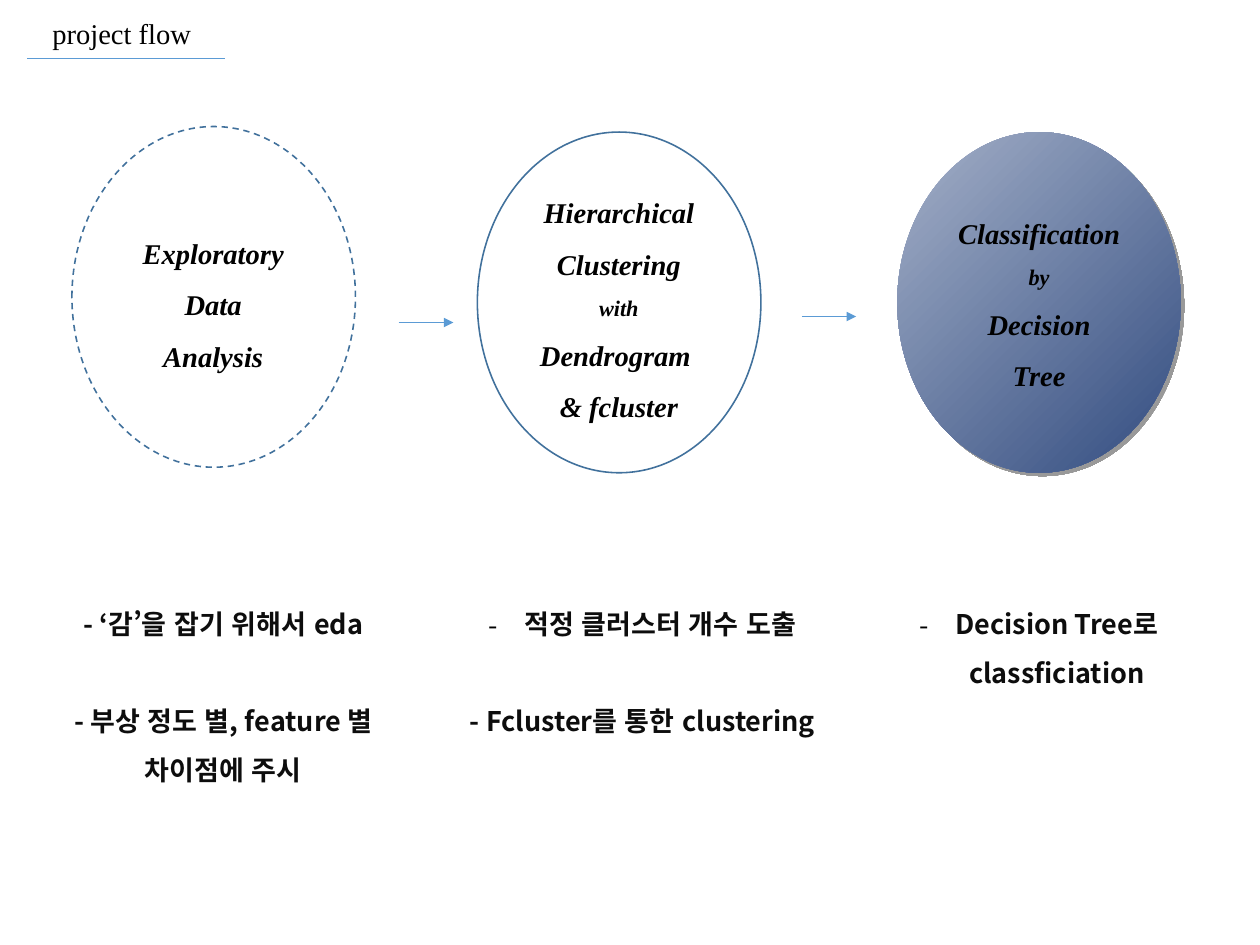
from lxml.etree import SubElement
from pptx import Presentation
from pptx.dml.color import RGBColor
from pptx.enum.dml import MSO_LINE
from pptx.enum.lang import MSO_LANGUAGE_ID as Language
from pptx.enum.shapes import MSO_CONNECTOR as Connector, MSO_SHAPE as Shape
from pptx.enum.text import MSO_ANCHOR as Anchor, MSO_AUTO_SIZE as AutoSize, PP_ALIGN as Align
from pptx.oxml.ns import qn
from pptx.util import Pt

SERIF = "Times New Roman"
KOREAN = "Noto Sans CJK KR"


def color(value):
    return RGBColor.from_string(value)


def format_paragraph(paragraph, size, font_name, text_color, spacing):
    paragraph.alignment = Align.CENTER
    paragraph.line_spacing = Pt(spacing)
    font = paragraph.font
    font.size = Pt(size)
    font.name = font_name
    font.color.rgb = color(text_color)
    properties = paragraph._p.get_or_add_pPr().find(qn("a:defRPr"))
    SubElement(properties, qn("a:ea"), typeface=font_name)
    return font


presentation = Presentation()
presentation.slide_width = Pt(793.7)
presentation.slide_height = Pt(595.28)
slide = presentation.slides.add_slide(presentation.slide_layouts[5])
shapes = slide.shapes

title = shapes.title
title.left, title.top, title.width, title.height = Pt(5.8), Pt(8.2), Pt(141.8), Pt(27.4)
title.text_frame.text = "project flow"
title.text_frame.auto_size = AutoSize.NONE
title.text_frame.vertical_anchor = Anchor.TOP
title_font = format_paragraph(title.text_frame.paragraphs[0], 18, SERIF, "000000", 20)
title_font.bold = False

ellipses = []
for left, top in [(45.3, 79.7), (300.7, 83.2), (565.2, 83.2)]:
    ellipse = shapes.add_shape(Shape.OVAL, Pt(left), Pt(top), Pt(178.6), Pt(214.6))
    ellipse.shadow.inherit = False
    ellipse.fill.background()
    ellipse.line.color.rgb = color("41719C")
    ellipse.line.width = Pt(1)
    ellipses.append(ellipse)

exploration, clustering, classification = ellipses
exploration.line.dash_style = MSO_LINE.DASH
classification.line.fill.background()
classification.fill.gradient()
classification.fill.gradient_angle = 315
for stop, position, value in zip(classification.fill.gradient_stops, (0, 1), ("A4B0C8", "324C80")):
    stop.position = position
    stop.color.rgb = color(value)
effects = classification._element.spPr.find(qn("a:effectLst"))
shadow = SubElement(effects, qn("a:outerShdw"), blurRad="0", dist=str(Pt(3)),
                    dir="2700000", algn="tl", rotWithShape="0")
shadow_color = SubElement(shadow, qn("a:srgbClr"), val="000000")
SubElement(shadow_color, qn("a:alpha"), val="40000")

for start, end, y, has_arrow in [
    (17.3, 141.8, 36.9, False),
    (251.2, 285.6, 203.2, True),
    (505.2, 539.3, 199.4, True),
]:
    connector = shapes.add_connector(Connector.STRAIGHT, Pt(start), Pt(y), Pt(end), Pt(y))
    connector.line.color.rgb = color("5B9BD5")
    connector.line.width = Pt(0.5)
    if has_arrow:
        SubElement(connector.line._get_or_add_ln(), qn("a:tailEnd"), type="triangle")
    SubElement(connector._element.spPr, qn("a:effectLst"))

steps = [
    (69.1, 134.3, 104.4, [("Exploratory", 18), ("Data", 18), ("Analysis", 18)]),
    (324.7, 108.5, 162, [("Hierarchical", 18), ("Clustering", 18), ("with", 14),
                         ("Dendrogram ", 18), ("& fcluster", 18)]),
    (589.4, 121.4, 129.6, [("Classification", 18), ("by", 14), ("Decision", 18), ("Tree", 18)]),
]
for left, top, height, lines in steps:
    frame = shapes.add_textbox(Pt(left), Pt(top), Pt(130.3), Pt(height)).text_frame
    frame.word_wrap = True
    for index, (text, size) in enumerate(lines):
        paragraph = frame.add_paragraph() if index else frame.paragraphs[0]
        paragraph.text = text
        font = format_paragraph(paragraph, size, SERIF, "000000", 1.8 * size)
        font.bold = font.italic = True

notes = [
    (30.2, 221, 129.6, False, ["- ‘감’을 잡기 위해서 eda", "- 부상 정도 별, feature 별 차이점에 주시"]),
    (285.8, 238, 129.6, True, ["적정 클러스터 개수 도출", "- Fcluster를 통한 clustering"]),
    (550.1, 208.8, 68.4, True, ["Decision Tree로 classficiation"]),
]
for left, width, height, hanging, lines in notes:
    frame = shapes.add_textbox(Pt(left), Pt(369), Pt(width), Pt(height)).text_frame
    frame.word_wrap = True
    for index, text in enumerate(lines):
        paragraph = frame.add_paragraph() if index else frame.paragraphs[0]
        paragraph.text = text
        properties = paragraph._p.get_or_add_pPr()
        if hanging:
            properties.set("marL", str(Pt(22.5)))
            properties.set("indent", str(Pt(-22.5)))
            if index == 0:
                bullet_color = SubElement(properties, qn("a:buClr"))
                SubElement(bullet_color, qn("a:srgbClr"), val="000000")
                SubElement(properties, qn("a:buFont"), typeface=KOREAN)
                SubElement(properties, qn("a:buChar"), char="-")
        if index:
            paragraph.space_before = Pt(30.6)
        font = format_paragraph(paragraph, 17, KOREAN, "0D0D0D", 30.6)
        font.bold = True
        font.language_id = Language.KOREAN

presentation.save("out.pptx")
